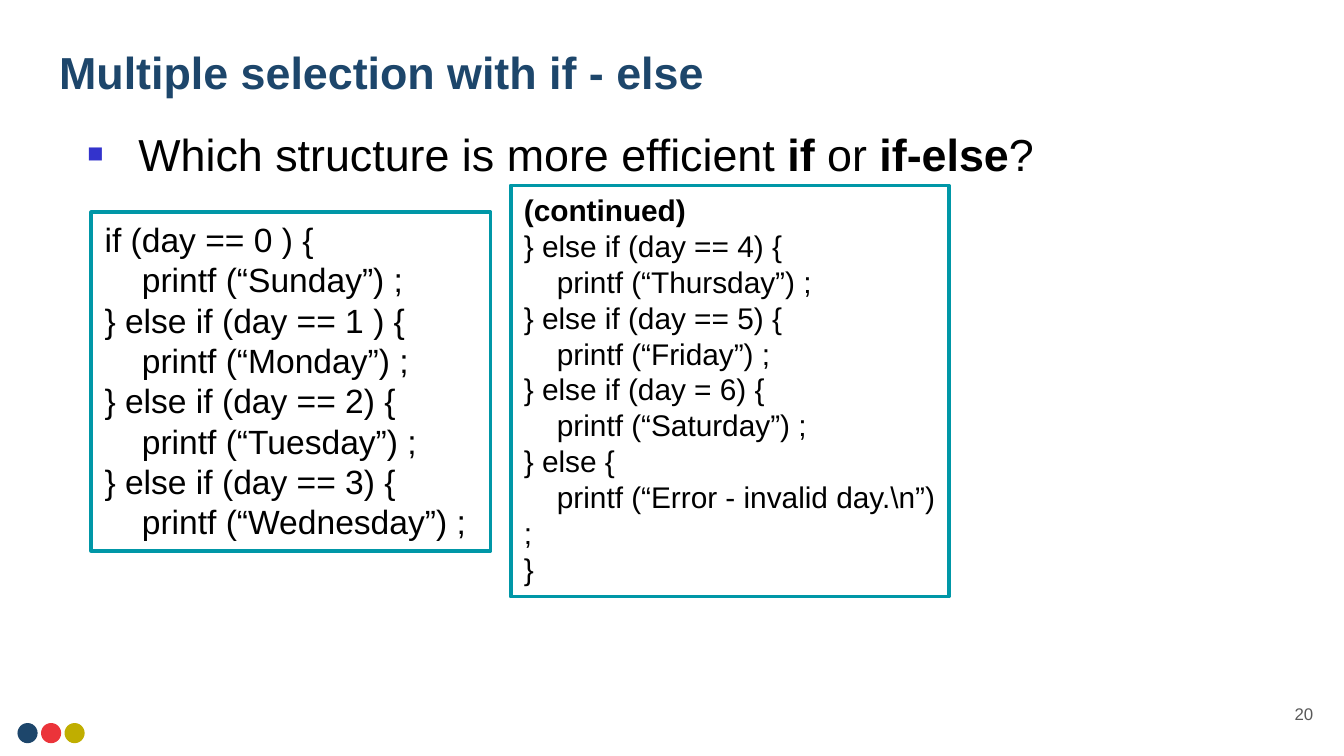
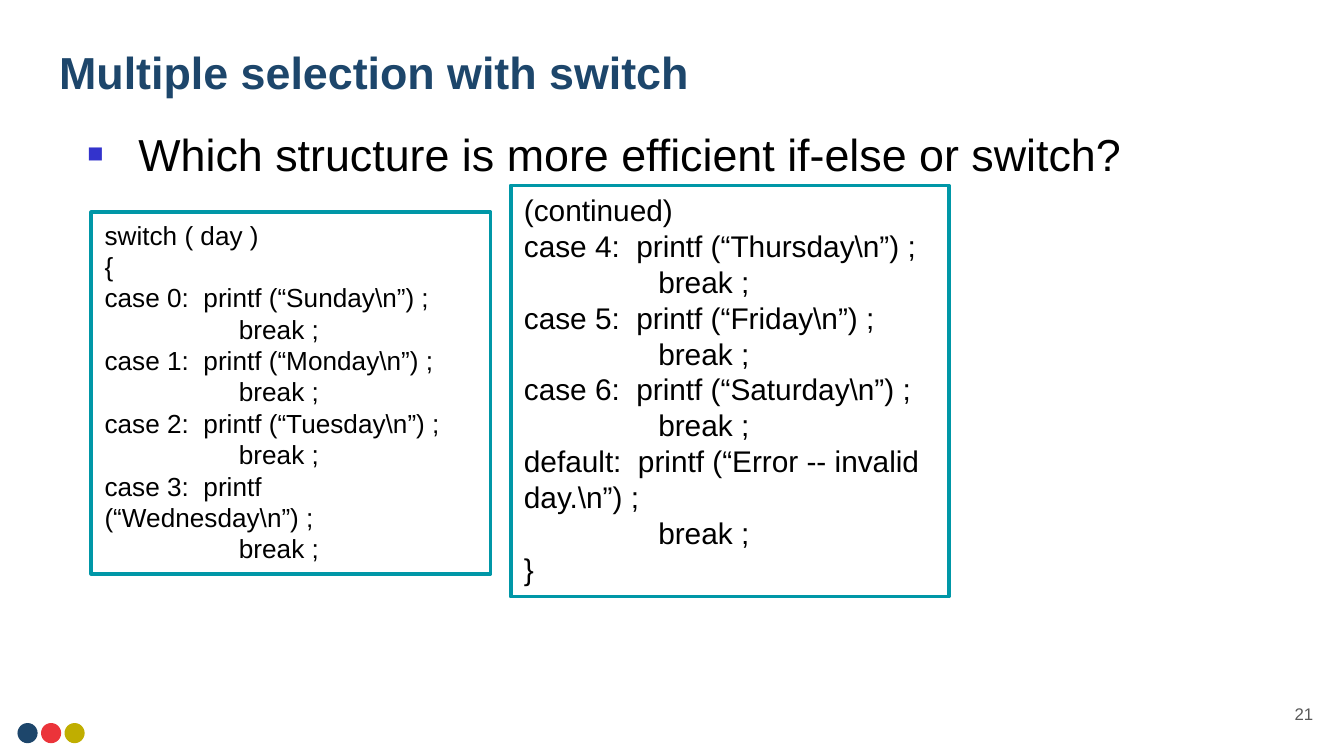
from dataclasses import dataclass

from lxml import etree
from pptx import Presentation
from pptx.dml.color import RGBColor
from pptx.enum.shapes import MSO_SHAPE
from pptx.enum.text import MSO_ANCHOR, MSO_AUTO_SIZE, PP_ALIGN
from pptx.oxml.ns import qn
from pptx.util import Emu, Pt

RECTANGLE, OVAL = MSO_SHAPE.RECTANGLE, MSO_SHAPE.OVAL
TOP, MIDDLE = MSO_ANCHOR.TOP, MSO_ANCHOR.MIDDLE
LEFT, RIGHT = PP_ALIGN.LEFT, PP_ALIGN.RIGHT
FIXED_SIZE = MSO_AUTO_SIZE.NONE

EMU_PER_PX = 4572
FONT = "Arial"
NAVY, RED, OLIVE = "1D466B", "EB343A", "C0AE00"
BLACK, WHITE, GREY = "000000", "FFFFFF", "595959"
TEAL, BULLET_BLUE = "0097A7", "3333CC"

DOT_COLORS = (NAVY, RED, OLIVE)
DOT_LEFT, DOT_TOP, DOT_SIZE, DOT_PITCH = 26, 1076, 30, 35
HANGING_INDENT = 76
TAB_STOP = 200
INSET = 20
BREAK = "\tbreak ;"


@dataclass(frozen=True)
class Box:
    left: int
    top: int
    width: int
    height: int


@dataclass(frozen=True)
class Listing:
    box: Box
    size: int
    lines: tuple[str, ...]
    bold_heading: bool = False


@dataclass(frozen=True)
class Comparison:
    number: int
    title: str
    question_width: int
    question: tuple[tuple[str, bool], ...]
    listings: tuple[Listing, ...]


TITLE_BOX = Box(68, 46, 1864, 122)
NUMBER_BOX = Box(1854, 1020, 120, 86)
CONTINUED_BOX = Box(760, 276, 652, 612)

COMPARISONS = (
    Comparison(
        20, "Multiple selection with if - else", 1522,
        (("Which structure is more efficient ", False), ("if", True),
         (" or ", False), ("if-else", True), ("?", False)),
        (
            Listing(Box(136, 316, 594, 504), 18, (
                "if (day == 0 ) {",
                "    printf (“Sunday”) ;",
                "} else if (day == 1 ) {",
                "    printf (“Monday”) ;",
                "} else if (day == 2) {",
                "    printf (“Tuesday”) ;",
                "} else if (day == 3) {",
                "    printf (“Wednesday”) ;",
            )),
            Listing(CONTINUED_BOX, 16, (
                "(continued)",
                "} else if (day == 4) {",
                "    printf (“Thursday”) ;",
                "} else if (day == 5) {",
                "    printf (“Friday”) ;",
                "} else if (day = 6) {",
                "    printf (“Saturday”) ;",
                "} else {",
                "    printf (“Error - invalid day.\\n”) ;",
                "}",
            ), bold_heading=True),
        ),
    ),
    Comparison(
        21, "Multiple selection with switch", 1684,
        (("Which structure is more efficient if-else or switch?", False),),
        (
            Listing(Box(136, 316, 594, 538), 14, (
                "switch ( day )",
                "{",
                "case 0:  printf (“Sunday\\n”) ;", BREAK,
                "case 1:  printf (“Monday\\n”) ;", BREAK,
                "case 2:  printf (“Tuesday\\n”) ;", BREAK,
                "case 3:  printf (“Wednesday\\n”) ;", BREAK,
            )),
            Listing(CONTINUED_BOX, 16, (
                "(continued)",
                "case 4:  printf (“Thursday\\n”) ;", BREAK,
                "case 5:  printf (“Friday\\n”) ;", BREAK,
                "case 6:  printf (“Saturday\\n”) ;", BREAK,
                "default:  printf (“Error -- invalid day.\\n”) ;", BREAK,
                "}",
            )),
        ),
    ),
)


def px(length: int) -> Emu:
    return Emu(length * EMU_PER_PX)


def rgb(color: str) -> RGBColor:
    return RGBColor.from_string(color)


def bounds(box: Box) -> tuple[Emu, Emu, Emu, Emu]:
    return px(box.left), px(box.top), px(box.width), px(box.height)


def place(shape, box: Box) -> None:
    shape.left, shape.top, shape.width, shape.height = bounds(box)


def style_run(run, size: int, color: str, bold: bool = False) -> None:
    run.font.name = FONT
    run.font.size = Pt(size)
    run.font.bold = bold
    run.font.color.rgb = rgb(color)


def set_frame(frame, anchor, inset_x: int = INSET, inset_y: int = INSET // 2) -> None:
    frame.word_wrap = True
    frame.auto_size = FIXED_SIZE
    frame.vertical_anchor = anchor
    frame.margin_left = frame.margin_right = px(inset_x)
    frame.margin_top = frame.margin_bottom = px(inset_y)


def draw_line_of_text(frame, text: str, size: int, color: str, align, bold: bool = False) -> None:
    set_frame(frame, MIDDLE, inset_y=INSET)
    frame.text = text
    frame.paragraphs[0].alignment = align
    style_run(frame.paragraphs[0].runs[0], size, color, bold)


def add_bullet(paragraph) -> None:
    properties = paragraph._p.get_or_add_pPr()
    properties.set("marL", str(px(HANGING_INDENT)))
    properties.set("indent", str(-px(HANGING_INDENT)))
    color = etree.SubElement(properties, qn("a:buClr"))
    etree.SubElement(color, qn("a:srgbClr"), val=BULLET_BLUE)
    etree.SubElement(properties, qn("a:buSzPct"), val="60000")
    etree.SubElement(properties, qn("a:buChar"), char="■")


def add_tab_stop(paragraph) -> None:
    tabs = etree.SubElement(paragraph._p.get_or_add_pPr(), qn("a:tabLst"))
    etree.SubElement(tabs, qn("a:tab"), pos=str(px(TAB_STOP)), algn="l")


def draw_question(body, comparison: Comparison) -> None:
    place(body, Box(110, 178, comparison.question_width, 100))
    set_frame(body.text_frame, TOP)
    paragraph = body.text_frame.paragraphs[0]
    add_bullet(paragraph)
    paragraph.space_before = Pt(0)
    for text, bold in comparison.question:
        run = paragraph.add_run()
        run.text = text
        style_run(run, 24, BLACK, bold)


def draw_shape(slide, kind, box: Box, fill: str):
    shape = slide.shapes.add_shape(kind, *bounds(box))
    shape.shadow.inherit = False
    shape.fill.solid()
    shape.fill.fore_color.rgb = rgb(fill)
    return shape


def draw_listing(slide, listing: Listing) -> None:
    panel = draw_shape(slide, RECTANGLE, listing.box, WHITE)
    panel.line.color.rgb = rgb(TEAL)
    panel.line.width = Pt(2)
    set_frame(panel.text_frame, TOP)
    panel.text_frame.text = "\n".join(listing.lines)
    for index, paragraph in enumerate(panel.text_frame.paragraphs):
        if paragraph.text.startswith("\t"):
            add_tab_stop(paragraph)
        paragraph.alignment = LEFT
        for run in paragraph.runs:
            style_run(run, listing.size, BLACK, listing.bold_heading and index == 0)


def draw_footer(slide, number: int) -> None:
    for index, color in enumerate(DOT_COLORS):
        box = Box(DOT_LEFT + index * DOT_PITCH, DOT_TOP, DOT_SIZE, DOT_SIZE)
        draw_shape(slide, OVAL, box, color).line.fill.background()
    page = slide.shapes.add_textbox(*bounds(NUMBER_BOX))
    draw_line_of_text(page.text_frame, str(number), 9, GREY, RIGHT)


def draw_comparison(presentation, comparison: Comparison) -> None:
    slide = presentation.slides.add_slide(presentation.slide_layouts[1])
    title = slide.shapes.title
    place(title, TITLE_BOX)
    draw_line_of_text(title.text_frame, comparison.title, 24, NAVY, LEFT, bold=True)
    draw_question(slide.placeholders[1], comparison)
    draw_footer(slide, comparison.number)
    for listing in comparison.listings:
        draw_listing(slide, listing)


def main() -> None:
    presentation = Presentation()
    presentation.slide_width = px(2000)
    presentation.slide_height = px(1125)
    for comparison in COMPARISONS:
        draw_comparison(presentation, comparison)
    presentation.save("out.pptx")


if __name__ == "__main__":
    main()
